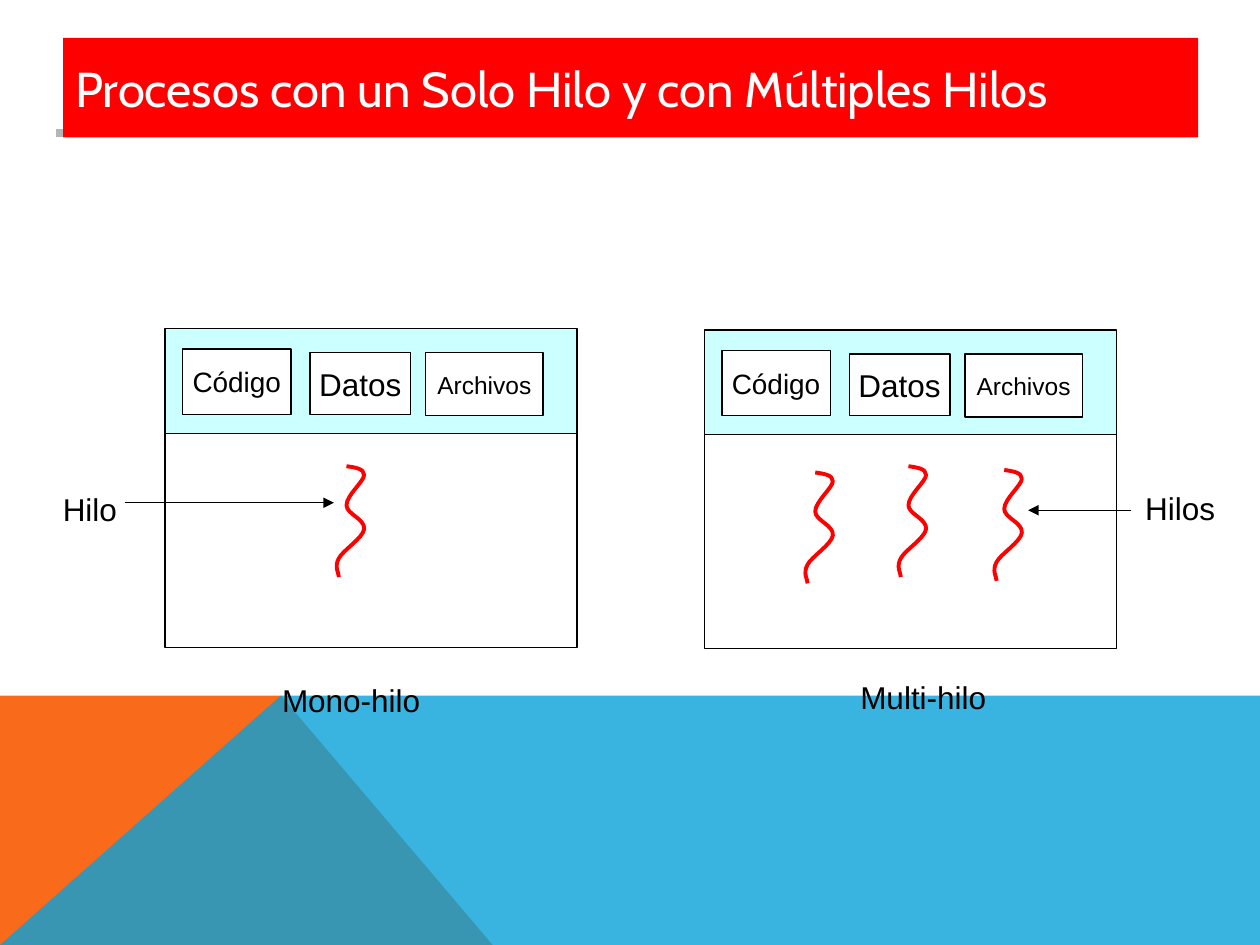
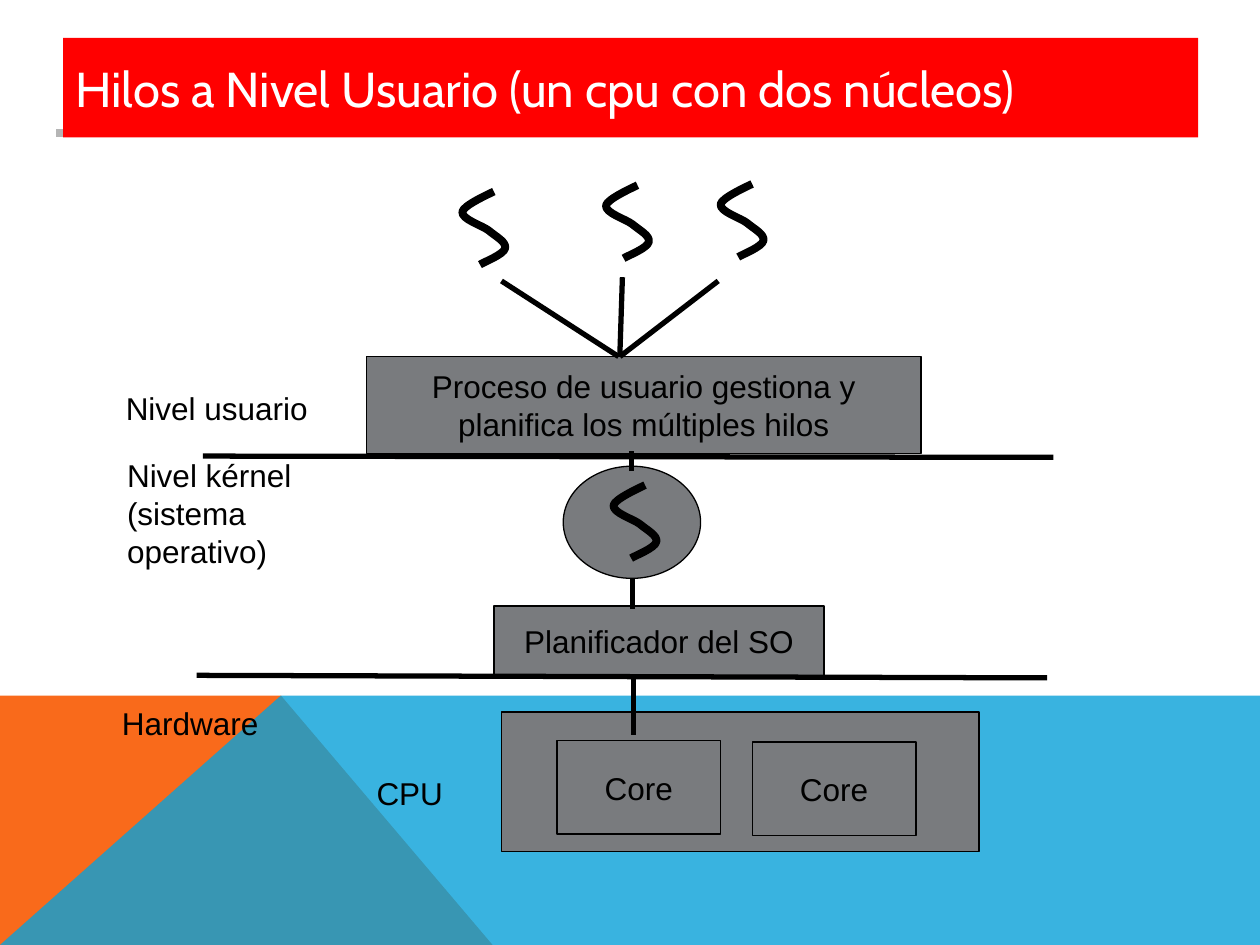
from lxml.etree import SubElement
from pptx import Presentation
from pptx.dml.color import RGBColor as Rgb
from pptx.enum.shapes import MSO_CONNECTOR as Link, MSO_SHAPE as Form
from pptx.enum.text import MSO_ANCHOR as Anchor, MSO_AUTO_SIZE as Auto, PP_ALIGN as Align
from pptx.oxml.ns import qn
from pptx.util import Inches, Pt

HUES = {
    "ink": "000000", "paper": "FFFFFF", "red": "FF0000", "cyan": "CCFFFF",
    "gray": "797B7E", "orange": "F96A1B", "blue": "08A1D9", "rule": "969696",
}
tint = {name: Rgb.from_string(code) for name, code in HUES.items()}

deck = Presentation()
deck.slide_width, deck.slide_height = Inches(10), Inches(7.5)
COL = deck.slide_width / 100
ROW = deck.slide_height / 75


def put(home, form, box, fill=None, edge="ink", text="", size=18,
        face="Arial", ink="ink", align=Align.CENTER, wrap=False):
    """Place a box given in columns and rows; without a form it is a text box."""
    x, y, w, h = box
    place = [round(v) for v in (x * COL, y * ROW, w * COL, h * ROW)]
    if form is None:
        item = home.add_textbox(*place)
        item.text_frame.auto_size = Auto.SHAPE_TO_FIT_TEXT
    else:
        item = home.add_shape(form, *place)
        item.shadow.inherit = False
        item.text_frame.vertical_anchor = Anchor.MIDDLE
        if fill:
            item.fill.solid()
            item.fill.fore_color.rgb = tint[fill]
        else:
            item.fill.background()
        if edge:
            item.line.color.rgb = tint[edge]
            item.line.width = Pt(0.75)
        else:
            item.line.fill.background()
    item.text_frame.word_wrap = wrap
    if text:
        par = item.text_frame.paragraphs[0]
        par.alignment = align
        run = par.add_run()
        run.text = text
        run.font.size = Pt(size)
        run.font.name = face
        run.font.color.rgb = tint[ink]
    return item


def trace(home, dots, close):
    """Draw an outline through dots given in columns and rows."""
    spots = [(x * COL, y * ROW) for x, y in dots]
    pen = home.build_freeform(*spots[0], scale=1.0)
    pen.add_line_segments(spots[1:], close=close)
    item = pen.convert_to_shape()
    item.shadow.inherit = False
    return item


# Shared frame: bottom bands, thin rule and title
BANDS = [
    ("orange", 100, [(0, 75), (0, 55.2), (22.3, 55.2), (39.1, 75)]),
    ("blue", 80, [(0, 75), (22.3, 55.2), (100, 55.2), (100, 75)]),
]
TITLES = [
    "Procesos con un Solo Hilo y con Múltiples Hilos",
    "Hilos a Nivel Usuario (un cpu con dos núcleos)",
]
pages = []
for title in TITLES:
    page = deck.slides.add_slide(deck.slide_layouts[6]).shapes
    pages.append(page)
    for hue, dense, dots in BANDS:
        band = trace(page, dots, True)
        band.fill.solid()
        band.fill.fore_color.rgb = tint[hue]
        band.line.fill.background()
        tone = band.fill._xPr.find(".//" + qn("a:srgbClr"))
        SubElement(tone, qn("a:alpha"), val=str(dense * 1000))
    rule = put(page, Form.RECTANGLE, (4.5, 10.3, 90.5, 0.5), edge=None)
    rule.fill.gradient()
    rule.fill.gradient_angle = 0
    for stop, hue, spot in zip(rule.fill.gradient_stops, ("rule", "paper"), (0, 1)):
        stop.color.rgb = tint[hue]
        stop.position = spot
    tone = rule.fill._xPr.find(".//" + qn("a:srgbClr"))
    SubElement(tone, qn("a:alpha"), val="70000")
    put(page, Form.RECTANGLE, (5, 3, 90.1, 7.9), "red", None, title, 28,
        "Cabin", "paper", Align.LEFT, True)
solo, user = pages

# Slide 1: one process per side, each with its three parts
PARTS = [
    ("Código", 16, 1.4, 1.6, 8.6, 5.2),
    ("Datos", 18, 11.5, 1.9, 8, 4.9),
    ("Archivos", 14, 20.7, 1.9, 9.3, 5),
]
for left, top in ((13.1, 26.1), (55.9, 26.2)):
    proc = solo.add_group_shape().shapes
    put(proc, Form.RECTANGLE, (left, top + 0.2, 32.7, 25.1))
    put(proc, Form.RECTANGLE, (left, top, 32.7, 8.3), "cyan")
    for name, size, dx, dy, w, h in PARTS:
        put(proc, Form.RECTANGLE, (left + dx, top + dy, w, h), "paper",
            text=name, size=size)

# Slide 2: layers from user process down to the cores
LAYERS = [
    (Form.OVAL, (44.7, 37, 10.9, 8.9), ""),
    (Form.RECTANGLE, (29.1, 28.3, 44, 7.7), "Proceso de usuario gestiona y planifica los múltiples hilos"),
    (Form.RECTANGLE, (39.2, 48.1, 26.2, 5.5), "Planificador del SO"),
    (Form.RECTANGLE, (39.8, 56.5, 37.9, 11.1), ""),
    (Form.RECTANGLE, (44.2, 58.8, 13, 7.4), "Core"),
    (Form.RECTANGLE, (59.7, 58.9, 13, 7.4), "Core"),
]
for form, box, text in LAYERS:
    put(user, form, box, "gray", text=text, wrap=box[2] > 40)

# Labels: page, box, text, wrap
LABELS = [
    (solo, (4, 38.4, 6.6, 4), "Hilo", False),
    (solo, (89.9, 38.3, 8, 4), "Hilos", False),
    (solo, (21.4, 53.6, 13.4, 4), "Mono-hilo", False),
    (solo, (67.3, 53.3, 12.4, 4), "Multi-hilo", False),
    (user, (9, 30.4, 18.4, 4), "Nivel usuario", True),
    (user, (9.1, 35.7, 19.8, 10), "Nivel kérnel (sistema operativo)", True),
    (user, (8.7, 55.4, 13.4, 4), "Hardware", False),
    (user, (28.9, 60.9, 7.6, 4), "CPU", False),
]
for page, box, text, wrap in LABELS:
    put(page, None, box, text=text, align=Align.LEFT, wrap=wrap)

# Lines: page, start, end
LINES = [
    (solo, (9.9, 39.9), (26.5, 39.9)),
    (solo, (89.8, 40.5), (81.6, 40.5)),
    (user, (16.1, 36.2), (83.6, 36.3)),
    (user, (15.6, 53.6), (83.1, 53.8)),
    (user, (49.1, 28.3), (39.8, 22.3)),
    (user, (49.2, 28.1), (49.4, 22)),
    (user, (49.2, 28.3), (57, 22.3)),
    (user, (50.1, 37.4), (50.1, 35.8)),
    (user, (50.2, 48.3), (50.2, 45.9)),
    (user, (50.3, 58.3), (50.3, 53.5)),
]
for page, (x1, y1), (x2, y2) in LINES:
    ends = [round(v) for v in (x1 * COL, y1 * ROW, x2 * COL, y2 * ROW)]
    wire = page.add_connector(Link.STRAIGHT, *ends)
    wire.line.color.rgb = tint["ink"]
    wire.line.width = Pt(0.75 if page is solo else 3)
    if page is solo:
        SubElement(wire.line._get_or_add_ln(), qn("a:tailEnd"), type="triangle")
    SubElement(wire._element.spPr, qn("a:effectLst"))

# Threads: curve handles as steps from each start
LONG = [
    (0, 0), (0.7, 0.1), (1.4, 0.2), (1.4, 0.7), (1.4, 1.2), (0, 2.3),
    (0, 3.1), (0, 3.8), (1.5, 4.2), (1.4, 5), (1.3, 5.7), (-0.3, 6.7),
    (-0.6, 7.3), (-1, 8), (-0.6, 8.5), (-0.6, 8.8),
]
SHORT = [
    (0, 0), (-0.4, 0.2), (-2.4, 1.1), (-2.5, 1.6), (-2.6, 2.2), (-0.9, 2.7),
    (-0.4, 3.1), (0.2, 3.6), (1, 4), (0.9, 4.5), (0.8, 5), (-0.8, 5.6),
    (-1.1, 5.8),
]
THREADS = [
    (solo, LONG, "red", 2.25, [(27.5, 37), (64.7, 37.5), (72.1, 37), (79.7, 37.3)]),
    (user, SHORT, "ink", 4.5, [(51.2, 38.5), (39.2, 15.2), (50.6, 14.7), (59.7, 14.6)]),
]
for page, steps, hue, width, starts in THREADS:
    for x, y in starts:
        thread = trace(page, [(x + dx, y + dy) for dx, dy in steps], False)
        thread.fill.background()
        thread.line.color.rgb = tint[hue]
        thread.line.width = Pt(width)
        trail = thread._element.find(".//" + qn("a:path"))
        legs = trail.findall(qn("a:lnTo"))
        for i in range(0, len(legs), 3):
            curve = SubElement(trail, qn("a:cubicBezTo"))
            for leg in legs[i:i + 3]:
                curve.append(leg[0])
                trail.remove(leg)

deck.save("out.pptx")
